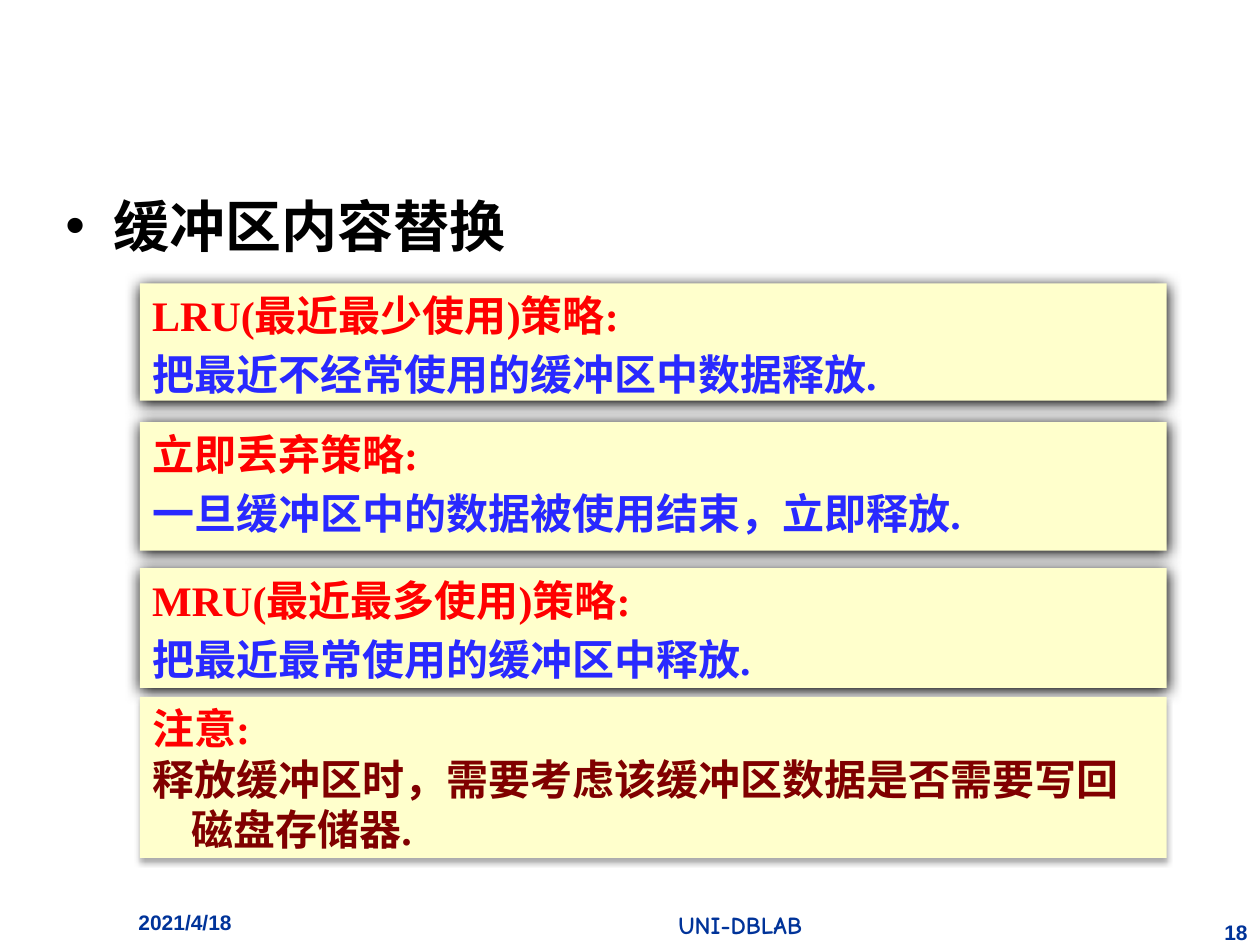
from lxml import etree
from pptx import Presentation
from pptx.dml.color import RGBColor
from pptx.enum.shapes import MSO_SHAPE
from pptx.enum.text import MSO_ANCHOR, PP_ALIGN
from pptx.oxml.ns import qn
from pptx.util import Inches, Pt

RECTANGLE = MSO_SHAPE.RECTANGLE
TOP = MSO_ANCHOR.TOP
LEFT, CENTER, RIGHT = PP_ALIGN.LEFT, PP_ALIGN.CENTER, PP_ALIGN.RIGHT

WIDTH, HEIGHT = 10, 7.5
BODY_FONT = "Times New Roman"
RED, BLUE, MAROON, NAVY = "FF0000", "2929FF", "800000", "003399"
CARD_FILL = "FFFFCC"
CARD_LEFT, CARD_WIDTH = 1.11, 8.15
CARD_INDENT, HEADING_INDENT = 0.31, 0.38
SPACE_SHARE = 0.2

STRONG_SHADOW = {"alpha": 100, "blur": 8.5, "distance": 1}
SOFT_SHADOW = {"alpha": 32, "blur": 3.5, "distance": 2.2}

HEADING = ("缓冲区内容替换", (0.42, 1.47, 9, 0.58))
CARDS = [
    (2.25, 0.93, "LRU(最近最少使用)策略:", "把最近不经常使用的缓冲区中数据释放.", BLUE, SPACE_SHARE, STRONG_SHADOW),
    (3.35, 1.02, "立即丢弃策略:", "一旦缓冲区中的数据被使用结束，立即释放.", BLUE, SPACE_SHARE, STRONG_SHADOW),
    (4.51, 0.95, "MRU(最近最多使用)策略:", "把最近最常使用的缓冲区中释放.", BLUE, SPACE_SHARE, STRONG_SHADOW),
    (5.53, 1.28, "注意:", "释放缓冲区时，需要考虑该缓冲区数据是否需要写回磁盘存储器.", MAROON, 0, SOFT_SHADOW),
]
FOOTERS = [
    ("2021/4/18", (1, 7.17, 1.75, 0.33), "Arial", 12, LEFT),
    ("UNI-DBLAB", (3.5, 7.17, 4.75, 0.33), "Comic Neue", 14, CENTER),
    ("18", (9.58, 7.25, 0.42, 0.25), "Arial", 12, RIGHT),
]


def color(value):
    return RGBColor.from_string(value)


def set_attributes(target, values):
    for name, value in values.items():
        setattr(target, name, value)


def write_paragraphs(shape, lines, size, font=BODY_FONT, align=LEFT, indent=0, space_share=0):
    frame = shape.text_frame
    set_attributes(frame, {"word_wrap": True, "vertical_anchor": TOP})
    for index, (text, text_color) in enumerate(lines):
        paragraph = frame.add_paragraph() if index else frame.paragraphs[0]
        set_attributes(paragraph, {"alignment": align, "space_before": Pt(size * space_share)})
        properties = paragraph._p.get_or_add_pPr()
        properties.set("marL", str(Inches(indent)))
        properties.set("indent", str(-Inches(indent)))
        run = paragraph.add_run()
        run.text = text
        set_attributes(run.font, {"name": font, "size": Pt(size), "bold": True})
        run.font.color.rgb = color(text_color)


def add_text(slide, box, lines, size, **options):
    shape = slide.shapes.add_textbox(*map(Inches, box))
    write_paragraphs(shape, lines, size, **options)
    return shape


def add_bullet(paragraph):
    properties = paragraph._p.get_or_add_pPr()
    etree.SubElement(properties, qn("a:buFont"), typeface="Arial")
    etree.SubElement(properties, qn("a:buChar"), char="•")


def add_shadow(shape, alpha, blur, distance):
    shape.shadow.inherit = False
    effects = shape._element.spPr.find(qn("a:effectLst"))
    shadow = etree.SubElement(effects, qn("a:outerShdw"), blurRad=str(Pt(blur)),
                              dist=str(Pt(distance)), dir="5400000", rotWithShape="0")
    shade = etree.SubElement(shadow, qn("a:srgbClr"), val="000000")
    etree.SubElement(shade, qn("a:alpha"), val=str(alpha * 1000))


def add_card(slide, top, height, title, detail, detail_color, space_share, shadow):
    box = (CARD_LEFT, top, CARD_WIDTH, height)
    card = slide.shapes.add_shape(RECTANGLE, *map(Inches, box))
    card.fill.solid()
    card.fill.fore_color.rgb = color(CARD_FILL)
    card.line.fill.background()
    add_shadow(card, **shadow)
    write_paragraphs(card, [(title, RED), (detail, detail_color)], 24,
                     indent=CARD_INDENT, space_share=space_share)


def main():
    presentation = Presentation()
    set_attributes(presentation, {"slide_width": Inches(WIDTH), "slide_height": Inches(HEIGHT)})
    slide = presentation.slides.add_slide(presentation.slide_layouts[6])

    text, box = HEADING
    heading = add_text(slide, box, [(text, "000000")], 32,
                       indent=HEADING_INDENT, space_share=SPACE_SHARE)
    add_bullet(heading.text_frame.paragraphs[0])
    for text, box, font, size, align in FOOTERS:
        add_text(slide, box, [(text, NAVY)], size, font=font, align=align)
    for card in CARDS:
        add_card(slide, *card)
    presentation.save("out.pptx")


if __name__ == "__main__":
    main()
